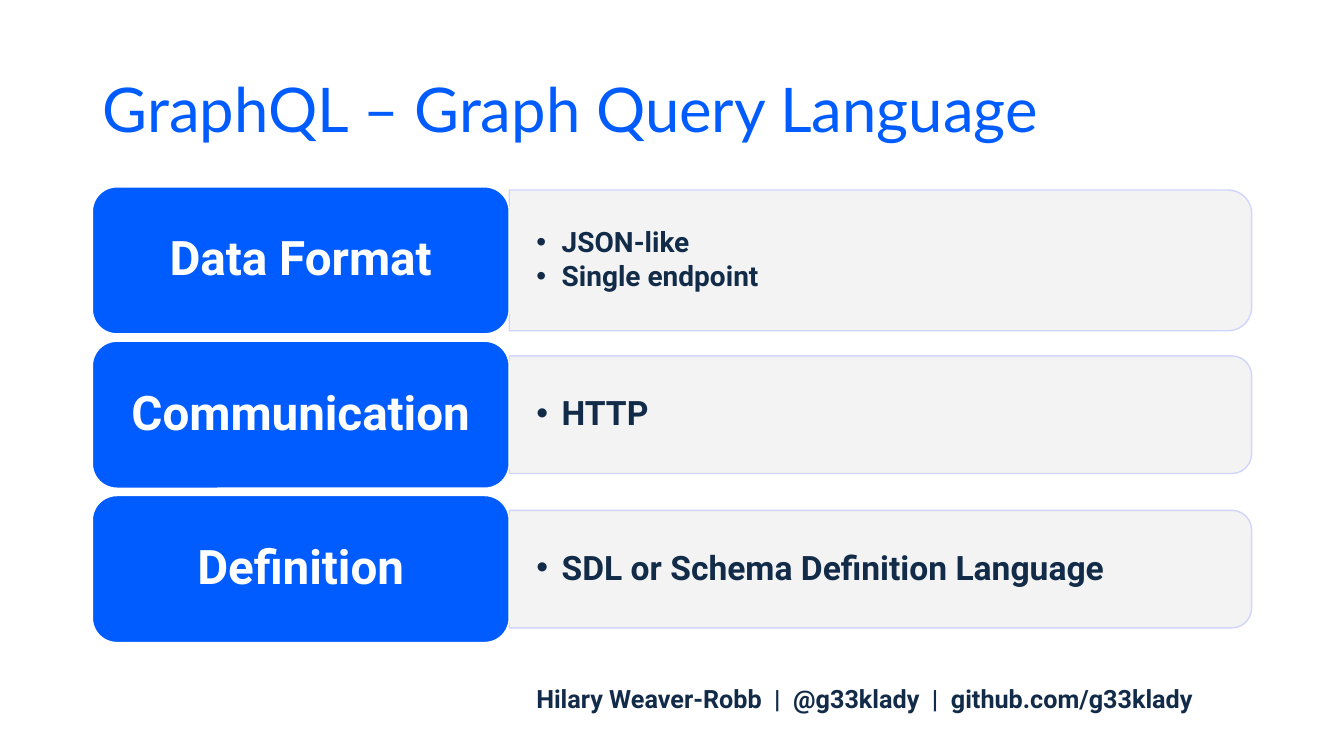
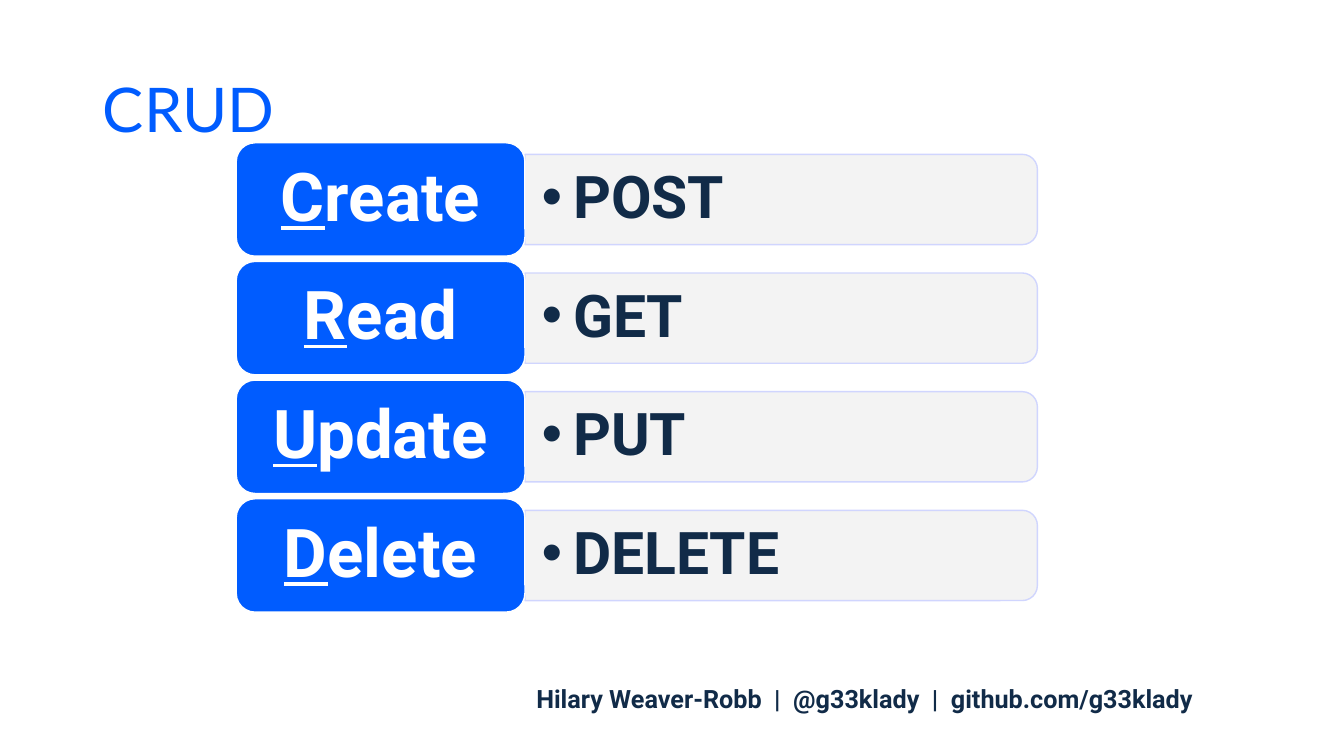
from dataclasses import dataclass

from lxml.etree import SubElement
from pptx import Presentation
from pptx.dml.color import RGBColor
from pptx.enum.shapes import MSO_SHAPE
from pptx.enum.text import MSO_ANCHOR, PP_ALIGN
from pptx.oxml.ns import qn
from pptx.util import Emu, Pt

EMU_PER_PX = 9525
SLIDE_SIZE = (1280, 720)

BLUE = RGBColor(0x00, 0x5C, 0xFF)
NAVY = RGBColor(0x11, 0x2B, 0x48)
WHITE = RGBColor(0xFF, 0xFF, 0xFF)
PANEL_GRAY = RGBColor(0xF2, 0xF2, 0xF2)
PANEL_EDGE = RGBColor(0xCC, 0xD2, 0xFF)
PANEL_OPACITY = 90

TITLE_BOX = (88, 38, 1104, 139)
FOOTER_BOX = (391, 646, 865, 38)
FOOTER = "Hilary Weaver-Robb  |  @g33klady  |  github.com/g33klady"

TITLE_FONT = {"name": "Lato", "size": Pt(44)}
BODY_FONT = {"name": "Roboto", "bold": True}


@dataclass
class Row:
    """A label, its bullets and how the bullet panel is set."""

    label: str
    bullets: list
    bullet_size: int
    panel_height: int


@dataclass
class ListLayout:
    """Measures of a stack of labels with panels beside them, in px."""

    left: int
    top: int
    pitch: int
    label_width: int
    label_height: int
    label_size: int
    label_margins: tuple
    panel_width: int
    panel_margins: tuple
    hang: int
    underline_initial: bool = False


TOPIC_LAYOUT = ListLayout(88, 178, 147, 397, 140, 34, (13, 7), 707, (26, 13), 24)
CRUD_LAYOUT = ListLayout(225, 136, 113, 275, 108, 48, (19, 10), 488, (16, 9), 30, True)

TOPICS = [
    Row("Data Format", ["JSON-like", "Single endpoint"], 20, 134),
    Row("Communication", ["HTTP"], 24, 112),
    Row("Definition", ["SDL or Schema Definition Language"], 24, 112),
]
CRUD = [
    Row(label, [method], 42, 86)
    for label, method in [
        ("Create", "POST"),
        ("Read", "GET"),
        ("Update", "PUT"),
        ("Delete", "DELETE"),
    ]
]


def px(length):
    """Turn px into EMU."""
    return Emu(round(length * EMU_PER_PX))


def apply_format(target, values):
    """Set each named attribute on the target."""
    for name, value in values.items():
        setattr(target, name, value)


def add_run(paragraph, text, color, values):
    """Add a run of formatted text."""
    run = paragraph.add_run()
    run.text = text
    apply_format(run.font, values)
    run.font.color.rgb = color


def set_frame(frame, margins=(10, 5), anchor=MSO_ANCHOR.MIDDLE):
    """Set wrapping, anchor and the side and end margins of a text frame."""
    side, end = map(px, margins)
    apply_format(frame, {
        "word_wrap": True,
        "vertical_anchor": anchor,
        "margin_left": side,
        "margin_right": side,
        "margin_top": end,
        "margin_bottom": end,
    })


def add_text_frame(slide, box, **frame_values):
    """Add a text box and return its frame."""
    frame = slide.shapes.add_textbox(*map(px, box)).text_frame
    set_frame(frame, **frame_values)
    return frame


def add_block(slide, preset, box, fill, edge):
    """Add a flat filled shape with a thin edge."""
    block = slide.shapes.add_shape(preset, *map(px, box))
    block.shadow.inherit = False
    block.fill.solid()
    block.fill.fore_color.rgb = fill
    block.line.color.rgb = edge
    block.line.width = Pt(1)
    return block


def add_title(slide, text):
    """Add the slide title."""
    paragraph = add_text_frame(slide, TITLE_BOX).paragraphs[0]
    paragraph.line_spacing = 0.9
    add_run(paragraph, text, BLUE, TITLE_FONT)


def add_footer(slide):
    """Add the speaker line."""
    paragraph = add_text_frame(slide, FOOTER_BOX, anchor=MSO_ANCHOR.TOP).paragraphs[0]
    paragraph.alignment = PP_ALIGN.CENTER
    add_run(paragraph, FOOTER, NAVY, {**BODY_FONT, "size": Pt(18)})


def add_bullet_mark(paragraph, hang):
    """Give a paragraph a round bullet with a hanging indent."""
    properties = paragraph._p.get_or_add_pPr()
    properties.set("marL", str(px(hang)))
    properties.set("indent", str(-px(hang)))
    SubElement(properties, qn("a:buFont"), typeface="Arial")
    SubElement(properties, qn("a:buChar"), char="•")


def add_panel(slide, box):
    """Add a translucent panel rounded on its right side."""
    left, top, width, height = box
    shift = (width - height) / 2
    upright = (left + shift, top - shift, height, width)
    panel = add_block(slide, MSO_SHAPE.ROUND_2_SAME_RECTANGLE, upright, PANEL_GRAY, PANEL_EDGE)
    panel.rotation = 90
    for color in panel._element.spPr.iter(qn("a:srgbClr")):
        SubElement(color, qn("a:alpha"), val=str(PANEL_OPACITY * 1000))


def add_bullets(slide, box, row, layout):
    """Add the bullets over a panel."""
    frame = add_text_frame(slide, box, margins=layout.panel_margins)
    for index, text in enumerate(row.bullets):
        paragraph = frame.add_paragraph() if index else frame.paragraphs[0]
        add_bullet_mark(paragraph, layout.hang)
        paragraph.line_spacing = 0.9
        if index:
            paragraph.space_before = Pt(row.bullet_size * 0.15)
        add_run(paragraph, text, NAVY, {**BODY_FONT, "size": Pt(row.bullet_size)})


def add_label(slide, box, text, layout):
    """Add a blue label, its initial underlined where the layout asks."""
    label = add_block(slide, MSO_SHAPE.ROUNDED_RECTANGLE, box, BLUE, WHITE)
    set_frame(label.text_frame, layout.label_margins)
    paragraph = label.text_frame.paragraphs[0]
    apply_format(paragraph, {"alignment": PP_ALIGN.CENTER, "line_spacing": 0.9})
    font = {**BODY_FONT, "size": Pt(layout.label_size)}
    if layout.underline_initial:
        add_run(paragraph, text[0], WHITE, {**font, "underline": True})
        text = text[1:]
    add_run(paragraph, text, WHITE, font)


def add_list(slide, rows, layout):
    """Stack the rows, each panel centred on its label."""
    for index, row in enumerate(rows):
        top = layout.top + index * layout.pitch
        panel_box = (
            layout.left + layout.label_width,
            top + (layout.label_height - row.panel_height) // 2,
            layout.panel_width,
            row.panel_height,
        )
        label_box = (layout.left, top, layout.label_width, layout.label_height)
        add_panel(slide, panel_box)
        add_bullets(slide, panel_box, row, layout)
        add_label(slide, label_box, row.label, layout)


def add_list_slide(deck, title, rows, layout):
    """Add a slide with a title, a list and the footer."""
    slide = deck.slides.add_slide(deck.slide_layouts[6])
    add_title(slide, title)
    add_list(slide, rows, layout)
    add_footer(slide)


def main():
    """Build and save the deck."""
    deck = Presentation()
    deck.slide_width, deck.slide_height = map(px, SLIDE_SIZE)
    add_list_slide(deck, "GraphQL – Graph Query Language", TOPICS, TOPIC_LAYOUT)
    add_list_slide(deck, "CRUD", CRUD, CRUD_LAYOUT)
    deck.save("out.pptx")


if __name__ == "__main__":
    main()
